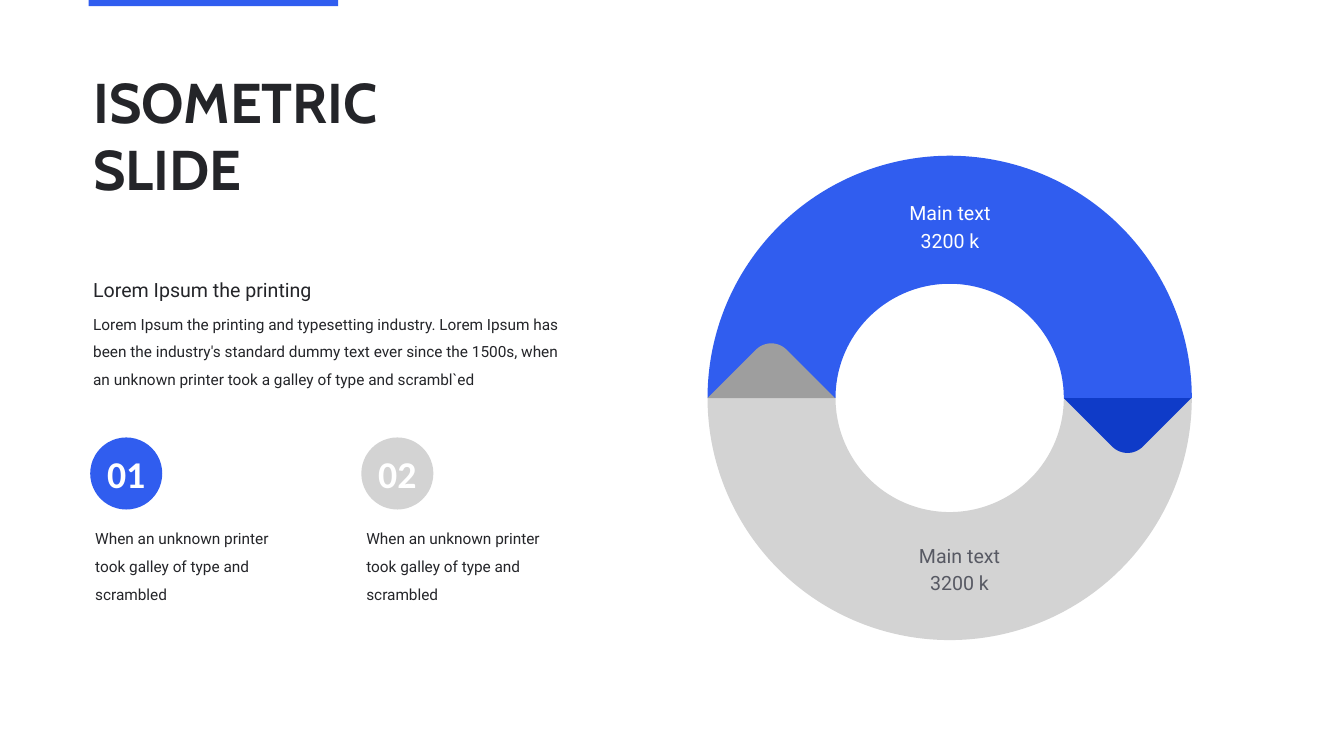
from pptx import Presentation
from pptx.dml.color import RGBColor
from pptx.enum.shapes import MSO_SHAPE
from pptx.enum.text import MSO_ANCHOR, MSO_AUTO_SIZE, PP_ALIGN
from pptx.util import Pt

PIXEL = 9144
COLORS = {
    "blue": "305DEF",
    "navy": "0F3BC8",
    "silver": "D3D3D3",
    "gray": "9E9E9E",
    "ink": "242529",
    "slate": "575963",
    "white": "FFFFFF",
}
FONTS = {
    "title": {"name": "Cabin", "size": Pt(80), "bold": True},
    "number": {"name": "Calibri", "size": Pt(54), "bold": True},
    "heading": {"name": "Roboto", "size": Pt(28)},
    "body": {"name": "Roboto", "size": Pt(22)},
}
READING = {"alignment": PP_ALIGN.LEFT, "line_spacing": 1.5, "space_before": Pt(6)}
CAPTION = {"alignment": PP_ALIGN.CENTER, "space_before": Pt(6)}
CENTERED = {"alignment": PP_ALIGN.CENTER}
HEADLINE = {"alignment": PP_ALIGN.LEFT, "space_before": Pt(0)}


def set_all(target, values):
    for name, value in values.items():
        setattr(target, name, value)


class SlideBuilder:
    def __init__(self, slide):
        self.slide = slide

    def color(self, name):
        return RGBColor.from_string(COLORS[name])

    def place(self, shape, box):
        names = ("left", "top", "width", "height")
        set_all(shape, {name: value * PIXEL for name, value in zip(names, box)})

    def paint(self, shape, fill):
        shape.shadow.inherit = False
        shape.fill.solid()
        shape.fill.fore_color.rgb = self.color(fill)
        shape.line.fill.background()
        return shape

    def fill_text(self, shape, lines, color, layout, anchor=MSO_ANCHOR.TOP, wrap=True):
        frame = shape.text_frame
        set_all(frame, {
            "word_wrap": wrap,
            "auto_size": MSO_AUTO_SIZE.NONE,
            "vertical_anchor": anchor,
        })
        for index, (text, font) in enumerate(lines):
            paragraph = frame.add_paragraph() if index else frame.paragraphs[0]
            paragraph.text = text
            set_all(paragraph, layout)
            for run in paragraph.runs:
                set_all(run.font, FONTS[font])
                run.font.color.rgb = self.color(color)

    def title(self, box, text):
        shape = self.slide.shapes.title
        self.place(shape, box)
        self.fill_text(shape, [(text, "title")], "ink", HEADLINE)

    def text(self, box, lines, color, layout, anchor=MSO_ANCHOR.TOP):
        shape = self.slide.shapes.add_textbox(*(value * PIXEL for value in box))
        self.fill_text(shape, lines, color, layout, anchor)

    def shape(self, kind, box, fill):
        shape = self.slide.shapes.add_shape(kind, *(value * PIXEL for value in box))
        return self.paint(shape, fill)

    def half_ring(self, box, thickness, start, end, fill):
        ring = self.shape(MSO_SHAPE.BLOCK_ARC, box, fill)
        for index, value in enumerate((start, end, thickness / box[2])):
            ring.adjustments[index] = value

    def tab(self, left, base, direction, fill):
        width, shoulder, peak, inset, steps = 253, 96, 113, 96, 16
        across = (inset, inset + 17, width - inset - 17, width - inset)
        upward = (shoulder, peak, peak, shoulder)
        points = []
        for step in range(steps + 1):
            t = step / steps
            weights = ((1 - t) ** 3, 3 * t * (1 - t) ** 2, 3 * t * t * (1 - t), t ** 3)
            x = sum(weight * value for weight, value in zip(weights, across))
            y = sum(weight * value for weight, value in zip(weights, upward))
            points.append(((left + x) * PIXEL, (base + direction * y) * PIXEL))
        points.append(((left + width) * PIXEL, base * PIXEL))
        builder = self.slide.shapes.build_freeform(left * PIXEL, base * PIXEL)
        builder.add_line_segments(points, close=True)
        self.paint(builder.convert_to_shape(), fill)

    def numbered_note(self, left, number, fill, text):
        badge = self.shape(MSO_SHAPE.OVAL, (left, 868, 143, 143), fill)
        self.fill_text(badge, [(number, "number")], "white", CENTERED, MSO_ANCHOR.MIDDLE, False)
        self.text((left, 1027, 418, 217), [(text, "body")], "ink", READING)

    def ring_label(self, left, top, color):
        lines = [("Main text", "heading"), ("3200 k", "heading")]
        self.text((left, top, 212, 75), lines, color, CAPTION, MSO_ANCHOR.MIDDLE)


def main():
    presentation = Presentation()
    presentation.slide_width = 2667 * PIXEL
    presentation.slide_height = 1500 * PIXEL
    builder = SlideBuilder(presentation.slides.add_slide(presentation.slide_layouts[5]))

    builder.shape(MSO_SHAPE.RECTANGLE, (176, 0, 495, 12), "blue")
    builder.title((175, 128, 2318, 139), "ISOMETRIC\nSLIDE")

    ring = (1404, 309, 961, 961)
    builder.half_ring(ring, 254, 0, 108, "silver")
    builder.tab(2111, 790, 1, "navy")
    builder.half_ring(ring, 254, 108, 0, "blue")
    builder.tab(1404, 790, -1, "gray")

    note = "When an unknown printer took galley of type and scrambled"
    for index, fill in enumerate(("blue", "silver")):
        builder.numbered_note(179 + index * 538, f"{index + 1:02d}", fill, note)

    builder.text((175, 523, 969, 290), [
        ("Lorem Ipsum the printing", "heading"),
        ("Lorem Ipsum the printing and typesetting industry. Lorem Ipsum has been "
         "the industry's standard dummy text ever since the 1500s, when an unknown "
         "printer took a galley of type and scrambl`ed", "body"),
    ], "ink", READING)
    builder.ring_label(1779, 412, "white")
    builder.ring_label(1798, 1092, "slate")

    presentation.save("out.pptx")


if __name__ == "__main__":
    main()
